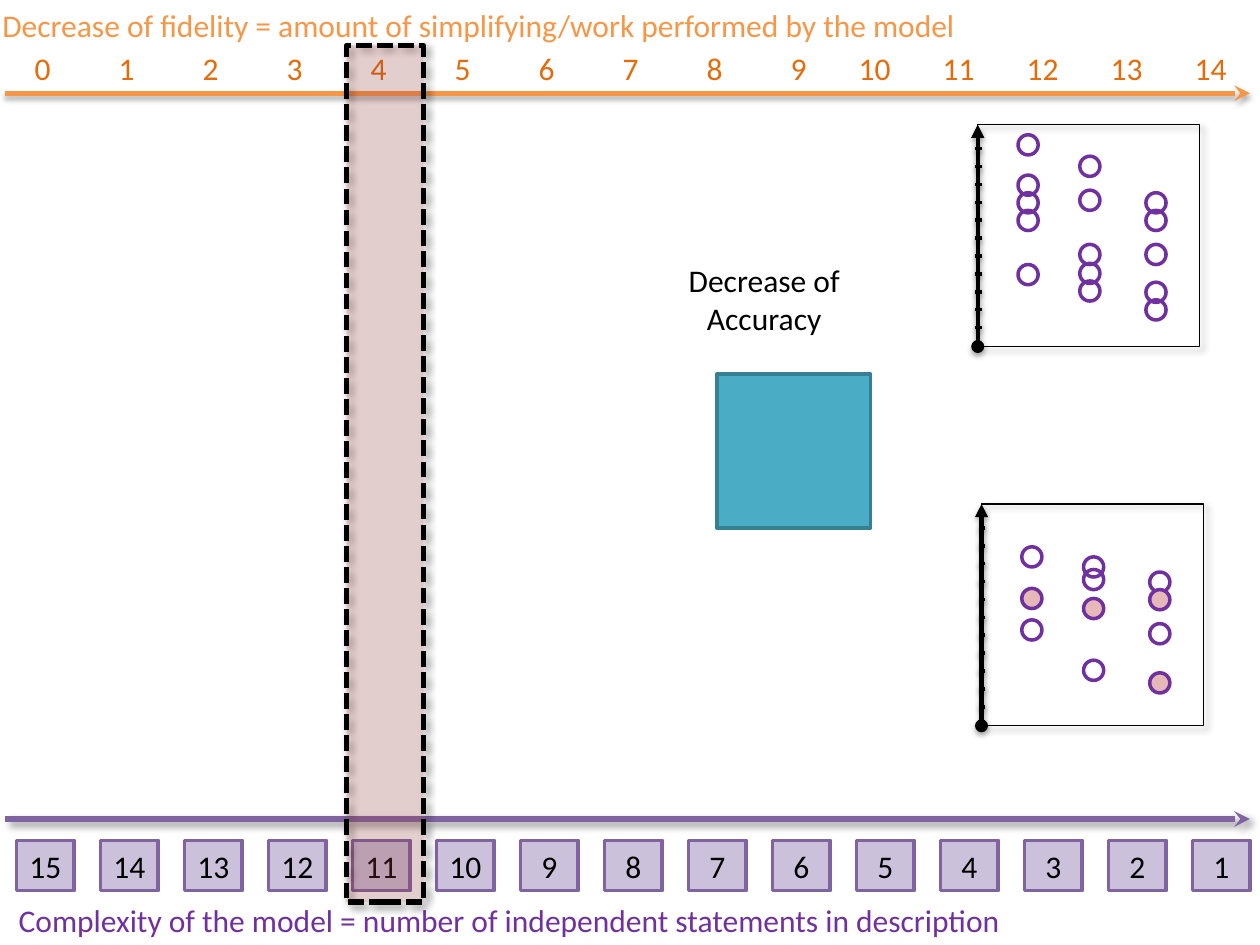
from dataclasses import dataclass

from lxml import etree
from pptx import Presentation, util as u
from pptx.dml.color import RGBColor
from pptx.enum import dml, shapes, text
from pptx.oxml.ns import qn


@dataclass(frozen=True)
class Theme:
    font: str = "Calibri"
    size: int = 18
    black: str = "000000"
    orange: str = "F79646"
    dark_orange: str = "E46C0A"
    purple: str = "8064A2"
    deep_purple: str = "7030A0"
    lilac: str = "CCC1DA"
    teal: str = "4BACC6"
    dark_teal: str = "377F92"
    red: str = "C0504D"
    pink: str = "E6B9B8"
    # Shadows: opacity %, blur pt, distance pt, direction in degrees
    soft: tuple = (40, 4, 3, 45)
    below: tuple = (35, 3.1, 1.8, 90)
    tick: tuple = (38, 3.1, 1.6, 90)


THEME = Theme()
LEFT, CENTER, RIGHT = (text.PP_ALIGN.LEFT, text.PP_ALIGN.CENTER,
                       text.PP_ALIGN.RIGHT)


def write(frame, words, *, color=THEME.black, align=LEFT):
    """Put one formatted paragraph into a text frame."""
    frame.word_wrap = True
    frame.auto_size = text.MSO_AUTO_SIZE.SHAPE_TO_FIT_TEXT
    paragraph = frame.paragraphs[0]
    paragraph.alignment = align
    run = paragraph.add_run()
    run.text = words
    run.font.name = THEME.font
    run.font.size = u.Pt(THEME.size)
    run.font.color.rgb = RGBColor.from_string(color)


def set_shadow(item, shadow):
    """Replace the theme shadow by the given one, or by none."""
    properties = item.element.spPr
    effects = properties.find(qn("a:effectLst"))
    if effects is None:
        effects = etree.SubElement(properties, qn("a:effectLst"))
    if shadow:
        opacity, blur, distance, angle = shadow
        outer = etree.SubElement(
            effects, qn("a:outerShdw"), blurRad=str(u.Pt(blur)),
            dist=str(u.Pt(distance)), dir=str(angle * 60000), rotWithShape="0")
        tint = etree.SubElement(outer, qn("a:srgbClr"), val=THEME.black)
        etree.SubElement(tint, qn("a:alpha"), val=str(opacity * 1000))


class Diagram:
    """Holds the theme, the slide and the group now being filled."""

    def __init__(self, slide, theme):
        self.slide, self.theme = slide, theme
        self.target = slide.shapes

    def group(self):
        self.target = self.slide.shapes.add_group_shape().shapes

    def ungroup(self):
        self.target = self.slide.shapes

    def label(self, box, words, **style):
        frame = self.target.add_textbox(*map(u.Inches, box)).text_frame
        write(frame, words, **style)

    def shape(self, box, *, line, width=2, fill=None, opacity=None, dash=None,
              shadow=None, kind=shapes.MSO_SHAPE.RECTANGLE):
        item = self.target.add_shape(kind, *map(u.Inches, box))
        item.shadow.inherit = False
        if fill:
            item.fill.solid()
            item.fill.fore_color.rgb = RGBColor.from_string(fill)
        else:
            item.fill.background()
        if opacity:
            tint = item.element.spPr.find(qn("a:solidFill"))[0]
            etree.SubElement(tint, qn("a:alpha"), val=str(opacity * 1000))
        item.line.color.rgb = RGBColor.from_string(line)
        item.line.width = u.Pt(width)
        if dash:
            item.line.dash_style = dash
        set_shadow(item, shadow)
        return item

    def line(self, start, end, *, color, width, shadow, head=None, tail=None):
        item = self.target.add_connector(
            shapes.MSO_CONNECTOR.STRAIGHT, *map(u.Inches, (*start, *end)))
        item.line.color.rgb = RGBColor.from_string(color)
        item.line.width = u.Pt(width)
        outline = item.element.spPr.find(qn("a:ln"))
        for tag, arrow in (("a:headEnd", head), ("a:tailEnd", tail)):
            if arrow:
                etree.SubElement(outline, qn(tag), type=arrow)
        set_shadow(item, shadow)

    def plot(self, left, top, open_dots, filled_dots=()):
        """Framed dot plot; dots are (column, distance below the top)."""
        t, side, dot = self.theme, 1.76, 0.16
        columns = (0.32, 0.81, 1.335)
        self.group()
        self.line((left, top + side), (left, top), color=t.black, width=2.5,
                  head="oval", tail="triangle", shadow=t.below)
        for step in range(11):
            y = top + 0.19 + 0.142 * step
            self.line((left - 0.02, y), (left + 0.03, y), color=t.black,
                      width=2, shadow=t.tick)
        for dots, fill in ((open_dots, None), (filled_dots, t.pink)):
            for column, drop in dots:
                self.shape((left + columns[column], top + drop, dot, dot),
                           line=t.deep_purple, fill=fill,
                           kind=shapes.MSO_SHAPE.OVAL)
        self.shape((left, top, side, side), line=t.black, width=0.75,
                   shadow=t.soft)
        self.ungroup()


def main():
    deck = Presentation()
    deck.slide_width, deck.slide_height = u.Inches(10), u.Inches(7.5)
    t = THEME
    diagram = Diagram(deck.slides.add_slide(deck.slide_layouts[6]), t)

    # Accuracy square
    diagram.shape((5.69, 2.97, 1.22, 1.22), line=t.dark_teal, fill=t.teal)

    # Fidelity numbers above, complexity boxes below
    diagram.group()
    steps, pitch = 15, 10 / 15
    for step in range(steps):
        statements = diagram.shape((0.13 + step * pitch, 6.67, 0.46, 0.4),
                                   line=t.purple, fill=t.lilac)
        write(statements.text_frame, str(steps - step), align=CENTER)
        diagram.label((0.04 + step * pitch, 0.34, 0.46, 0.4), str(step),
                      color=t.dark_orange, align=RIGHT)

    # Axes and their captions
    diagram.label(
        (-0.08, 0, 8.25, 0.4),
        "Decrease of fidelity = amount of simplifying/work performed by the model",
        color=t.orange)
    for y, color, shadow in ((0.74, t.orange, t.below),
                             (6.5, t.purple, t.soft)):
        diagram.line((0.04, y), (9.92, y), color=color, width=3,
                     tail="stealth", shadow=shadow)
    diagram.label(
        (0.05, 7.1, 8.25, 0.4),
        "Complexity of the model = number of independent statements in description",
        color=t.deep_purple)
    diagram.ungroup()

    # Highlighted step
    diagram.shape((2.75, 0.36, 0.61, 6.8), line=t.black, width=3, fill=t.red,
                  opacity=19, dash=dml.MSO_LINE.SQUARE_DOT, shadow=t.soft)

    # Dot plots
    diagram.plot(7.76, 0.99, [
        (0, 0.08), (0, 0.4), (0, 0.54), (0, 0.68), (0, 1.11),
        (1, 0.25), (1, 0.52), (1, 0.95), (1, 1.1), (1, 1.24),
        (2, 0.54), (2, 0.68), (2, 0.95), (2, 1.25), (2, 1.39)])
    diagram.plot(7.79, 4, [
        (0, 0.34), (0, 0.92), (1, 0.42), (1, 0.52), (1, 1.24),
        (2, 0.54), (2, 0.95)],
        [(0, 0.67), (1, 0.75), (2, 0.68), (2, 1.34)])

    # Accuracy caption
    diagram.label((5.22, 2.02, 1.69, 0.71), "Decrease of Accuracy",
                  align=CENTER)
    deck.save("out.pptx")


if __name__ == "__main__":
    main()
